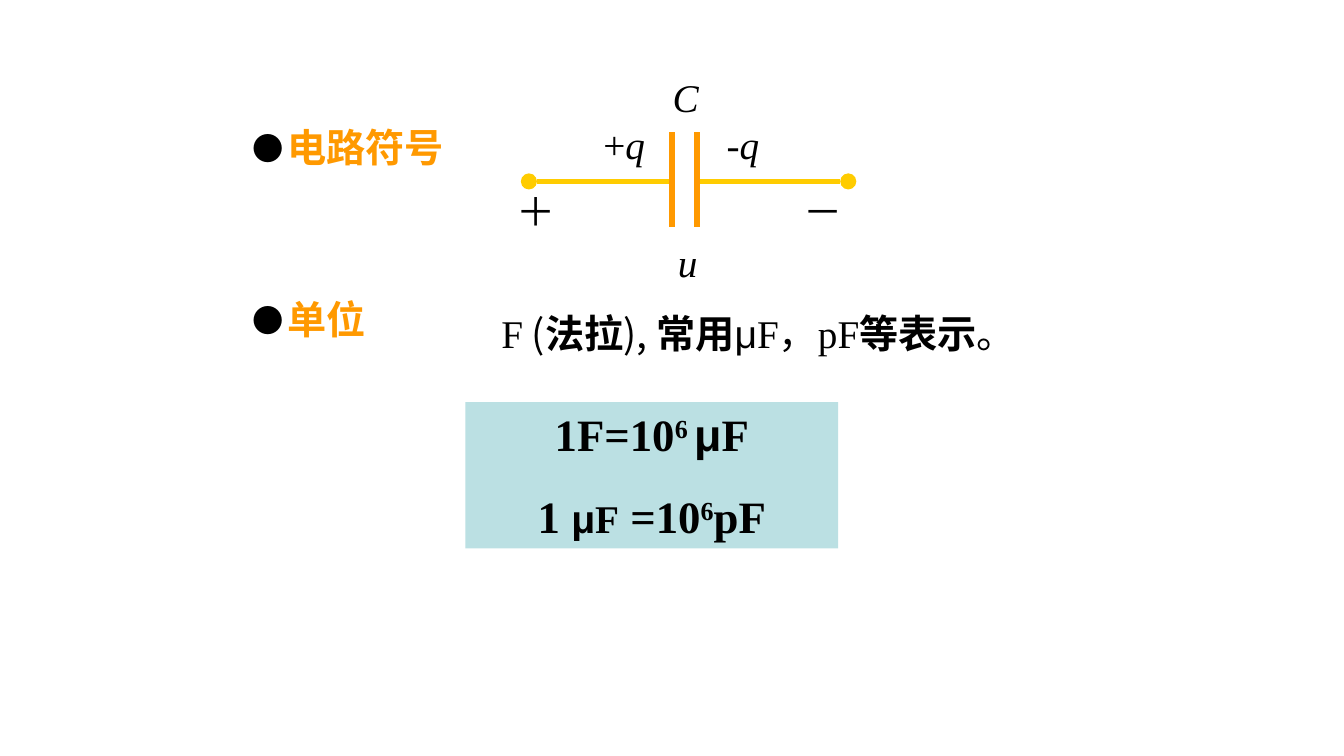
from dataclasses import dataclass

from lxml.etree import SubElement
from pptx import Presentation
from pptx.dml.color import RGBColor
from pptx.enum.shapes import MSO_CONNECTOR, MSO_SHAPE
from pptx.enum.text import MSO_ANCHOR, MSO_AUTO_SIZE, PP_ALIGN
from pptx.oxml.ns import qn
from pptx.util import Pt

SCALE = 9144  # EMU in one px, 100 px to the inch


@dataclass(frozen=True)
class Theme:
    ink: str = "000000"
    plate: str = "FF9900"
    wire: str = "FFCC00"
    panel: str = "BBE0E3"
    serif: str = "Times New Roman"
    sans: str = "Arial"
    han: str = "Noto Sans CJK SC"
    text: int = 28
    large: int = 32
    raised: int = 30000


def px(*sizes):
    return [size * SCALE for size in sizes]


class Board:
    def __init__(self, slide, theme):
        self.slide = slide
        self.theme = theme

    def run(self, para, text, face=None, size=None, color=None,
            bold=False, slant=False, sup=False):
        run = para.add_run()
        run.text = text
        font = run.font
        font.size = Pt(size or self.theme.text)
        font.bold, font.italic = bold, slant
        font.color.rgb = RGBColor.from_string(color or self.theme.ink)
        font.name = face or self.theme.serif
        props = run._r.get_or_add_rPr()
        SubElement(props, qn("a:ea"), typeface=self.theme.han)
        if sup:
            props.set("baseline", str(self.theme.raised))

    def fill(self, frame, lines, anchor, gap=0):
        """Write centred lines, each a list of (text, style) runs."""
        frame.word_wrap = True
        frame.auto_size = MSO_AUTO_SIZE.NONE
        frame.vertical_anchor = anchor
        for row, line in enumerate(lines):
            para = frame.add_paragraph() if row else frame.paragraphs[0]
            para.alignment = PP_ALIGN.CENTER
            para.space_before = Pt(gap if row else 0)
            for text, style in line:
                self.run(para, text, **style)

    def label(self, box, *runs):
        shape = self.slide.shapes.add_textbox(*px(*box))
        self.fill(shape.text_frame, [runs], MSO_ANCHOR.MIDDLE)

    def shape(self, kind, box, color):
        shape = self.slide.shapes.add_shape(kind, *px(*box))
        shape.shadow.inherit = False
        shape.fill.solid()
        shape.fill.fore_color.rgb = RGBColor.from_string(color)
        shape.line.fill.background()
        return shape

    def panel(self, box, lines, gap):
        shape = self.shape(MSO_SHAPE.RECTANGLE, box, self.theme.panel)
        self.fill(shape.text_frame, lines, MSO_ANCHOR.TOP, gap)

    def line(self, ends, color, width):
        line = self.slide.shapes.add_connector(MSO_CONNECTOR.STRAIGHT, *px(*ends))
        line.line.color.rgb = RGBColor.from_string(color)
        line.line.width = Pt(width)
        SubElement(line._element.spPr, qn("a:effectLst"))

    def bullet(self, index, box, text):
        """Place a body placeholder holding one bulleted heading."""
        holder = self.slide.placeholders[index]
        holder.left, holder.top, holder.width, holder.height = px(*box)
        frame = holder.text_frame
        frame.word_wrap = True
        frame.auto_size = MSO_AUTO_SIZE.NONE
        frame.vertical_anchor = MSO_ANCHOR.MIDDLE
        para = frame.paragraphs[0]
        para.alignment = PP_ALIGN.LEFT
        para.space_before = Pt(0)
        props = para._p.get_or_add_pPr()
        indent = 34 * SCALE
        props.set("marL", str(indent))
        props.set("indent", str(-indent))
        tint = SubElement(props, qn("a:buClr"))
        SubElement(tint, qn("a:srgbClr"), val=self.theme.ink)
        SubElement(props, qn("a:buSzPct"), val="80000")
        SubElement(props, qn("a:buFont"), typeface=self.theme.han)
        SubElement(props, qn("a:buChar"), char="●")
        self.run(para, text, self.theme.han, color=self.theme.plate, bold=True)


def symbol(board):
    """Draw the capacitor with its leads, plates and labels."""
    theme = board.theme
    axis, dot = 180, 16
    for plate, tip, left in ((667, 533, 517), (692, 834, 834)):
        board.line((plate, axis, tip, axis), theme.wire, 3.5)
        board.shape(MSO_SHAPE.OVAL, (left, axis - dot // 2, dot, dot), theme.wire)
        board.line((plate, 131, plate, 225), theme.plate, 4)
    slant = {"slant": True}
    board.label((655, 68, 51, 57), ("C", slant))
    board.label((651, 231, 63, 57), ("u", slant))
    for left, sign in ((501, "＋"), (785, "－")):
        board.label((left, 181, 63, 57), (sign, {}))
    for left, sign in ((580, "+"), (698, "-")):
        board.label((left, 114, 79, 57), (sign, {}), ("q", slant))


def units(board):
    """Write the unit names and the conversion panel."""
    theme = board.theme
    han = {"face": theme.han}
    heavy = {"face": theme.han, "bold": True}
    board.label(
        (438, 302, 630, 57),
        ("F", {}), (" (", han), ("法拉", heavy), ("), ", han), ("常用", heavy),
        ("μ", {"face": theme.sans}), ("F，pF", {}), ("等表示", heavy), ("。", han))
    big = {"size": theme.large, "bold": True}
    high = {**big, "sup": True}
    board.panel((462, 399, 370, 145), [
        [("1F=10", big), ("6 ", high), ("μ", {**big, "face": theme.sans}), ("F", big)],
        [("1 ", big), ("μ", {"face": theme.sans, "bold": True}), ("F", {"bold": True}),
         (" =10", big), ("6", high), ("pF", big)],
    ], gap=20)


def main():
    deck = Presentation()
    deck.slide_width, deck.slide_height = px(1334, 750)
    slide = deck.slides.add_slide(deck.slide_layouts.get_by_name("Two Content"))
    title = slide.shapes.title._element
    title.getparent().remove(title)
    board = Board(slide, Theme())
    board.bullet(1, (241, 94, 224, 104), "电路符号")
    board.bullet(2, (241, 288, 165, 57), "单位")
    symbol(board)
    units(board)
    deck.save("out.pptx")


if __name__ == "__main__":
    main()
